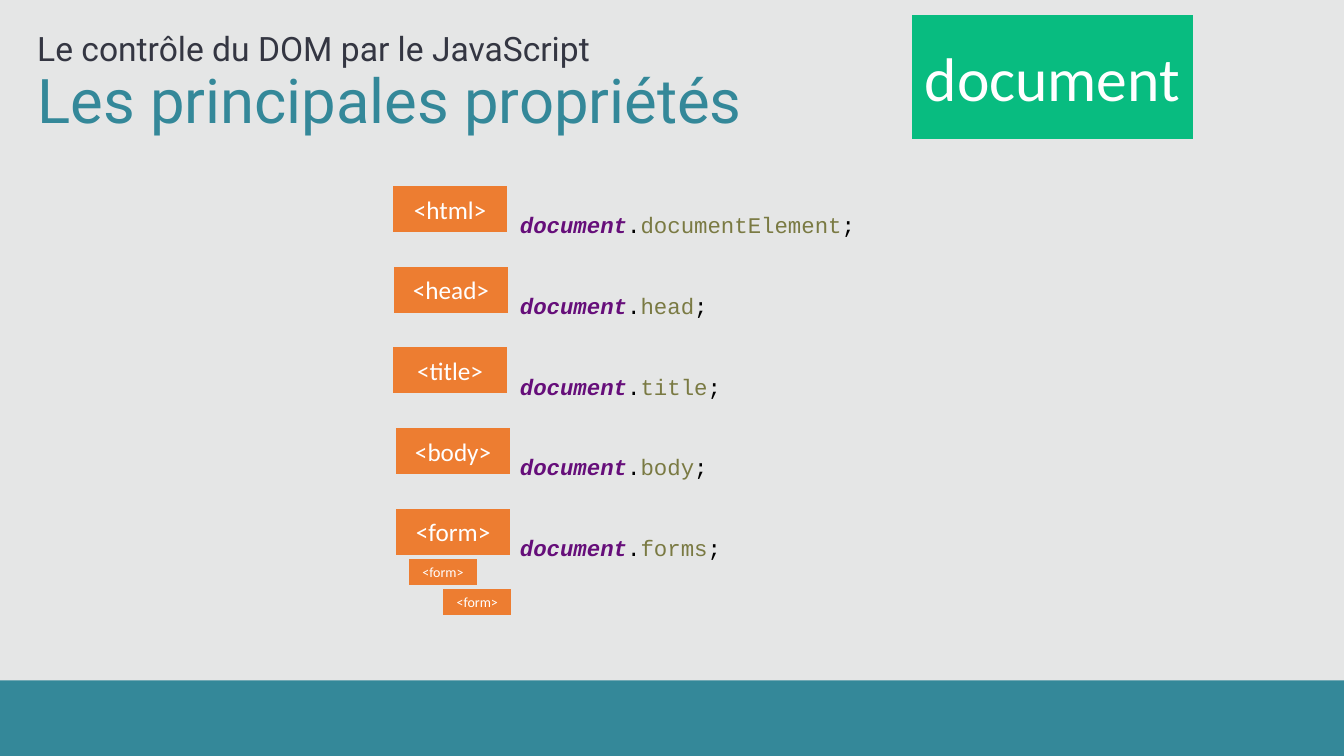
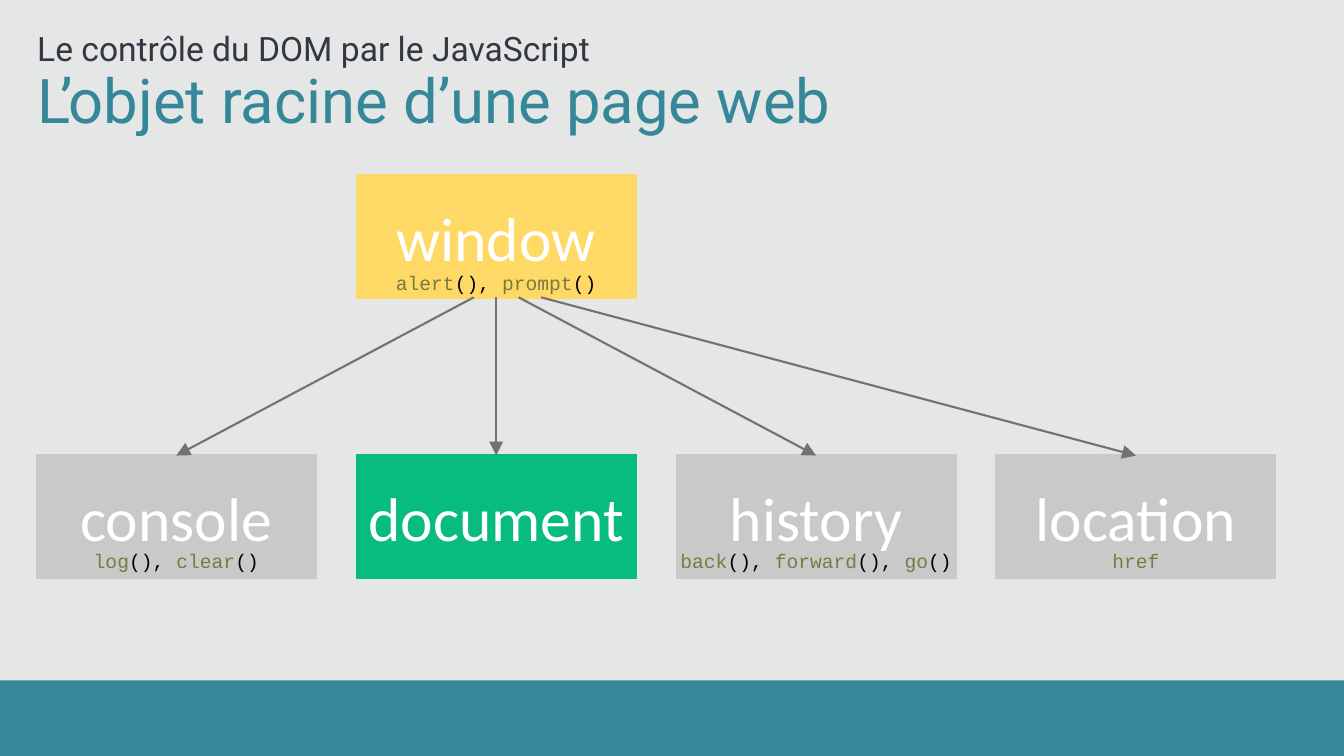
from dataclasses import dataclass

from lxml.etree import SubElement
from pptx import Presentation
from pptx.dml.color import RGBColor
from pptx.enum.shapes import MSO_CONNECTOR, MSO_SHAPE
from pptx.enum.text import MSO_ANCHOR, PP_ALIGN
from pptx.oxml.ns import qn
from pptx.slide import Slide
from pptx.text.text import TextFrame, _Paragraph
from pptx.util import Pt

COLORS = {
    "background": "E5E6E6",
    "teal": "348899",
    "ink": "343642",
    "green": "08BC80",
    "yellow": "FFD966",
    "grey": "C9C9C9",
    "orange": "ED7D31",
    "arrow": "767171",
    "white": "FFFFFF",
    "object": "660E7A",
    "member": "7A7A43",
    "punctuation": "000000",
}
SUBTITLE = "Le contrôle du DOM par le JavaScript"
SLIDE_W, SLIDE_H = 960, 540
FOOTER_TOP = 486
MARGIN = 26.6
BOX_W, BOX_H = 198.7, 87.1
COLUMN_STEP = 228.5
WINDOW_COLUMN = 1
WINDOW_TOP, CHILD_TOP = 125.3, 325.4
ARROW_STEP = 16
CAPTION_H = 25.2
TAG_TOP, TAG_STEP = 133.9, 57.6
CODE_SIZE, CODE_LINE_H = 16, 19.2


@dataclass(frozen=True)
class Token:
    text: str
    kind: str


@dataclass(frozen=True)
class Box:
    text: str
    left: float
    top: float
    color: str
    width: float = BOX_W
    height: float = BOX_H
    size: float = 44


@dataclass(frozen=True)
class Node:
    name: str
    color: str
    column: int
    top: float = CHILD_TOP
    caption: tuple[Token, ...] = ()
    caption_drop: float = 0

    @property
    def left(self) -> float:
        return MARGIN + self.column * COLUMN_STEP

    @property
    def center(self) -> float:
        return self.left + BOX_W / 2


@dataclass(frozen=True)
class Property:
    tag: str
    tag_left: float
    name: str


def member(name: str) -> Token:
    return Token(name, "member")


def mark(text: str) -> Token:
    return Token(text, "punctuation")


PROPERTIES = (
    Property("<html>", 281.5, "documentElement"),
    Property("<head>", 282.2, "head"),
    Property("<title>", 281.5, "title"),
    Property("<body>", 283.7, "body"),
    Property("<form>", 283.7, "forms"),
)
SMALL_TAGS = ((293, 400.3), (317.5, 421.5))
WINDOW = Node(
    "window", "yellow", WINDOW_COLUMN, WINDOW_TOP,
    (member("alert"), mark("(),"), member(" prompt"), mark("()")), 1.4,
)
CHILDREN = (
    Node("console", "grey", 0,
         caption=(member("log"), mark("(), "), member("clear"), mark("()"))),
    Node("document", "green", 1),
    Node("history", "grey", 2,
         caption=(member("back"), mark("(), "), member("forward"),
                  mark("(), "), member("go"), mark("()"))),
    Node("location", "grey", 3, caption=(member("href"),)),
)


def rgb(name: str) -> RGBColor:
    return RGBColor.from_string(COLORS[name])


def add_text_frame(s: Slide, left: float, top: float, width: float,
                   height: float, anchor: MSO_ANCHOR,
                   wrap: bool = True) -> TextFrame:
    sp = s.shapes.add_textbox(Pt(left), Pt(top), Pt(width), Pt(height))
    tf = sp.text_frame
    tf.word_wrap = wrap
    tf.vertical_anchor = anchor
    return tf


def add_heading(s: Slide, text: str, top: float, height: float, size: float,
                color: str, anchor: MSO_ANCHOR) -> None:
    tf = add_text_frame(s, MARGIN, top, 910, height, anchor)
    tf.margin_left = tf.margin_right = tf.margin_top = tf.margin_bottom = 0
    tf.text = text
    p = tf.paragraphs[0]
    p.line_spacing = 0.9
    font = p.runs[0].font
    font.name, font.size = "Roboto", Pt(size)
    font.color.rgb = rgb(color)


def add_box(s: Slide, box: Box) -> None:
    sp = s.shapes.add_shape(MSO_SHAPE.RECTANGLE, Pt(box.left), Pt(box.top),
                            Pt(box.width), Pt(box.height))
    sp.shadow.inherit = False
    sp.fill.solid()
    sp.fill.fore_color.rgb = rgb(box.color)
    sp.line.color.rgb = rgb(box.color)
    sp.line.width = Pt(2)
    SubElement(sp.line._get_or_add_ln(), qn("a:miter"), lim="800000")
    tf = sp.text_frame
    tf.word_wrap = False
    tf.vertical_anchor = MSO_ANCHOR.MIDDLE
    tf.text = box.text
    p = tf.paragraphs[0]
    p.alignment = PP_ALIGN.CENTER
    font = p.runs[0].font
    font.name, font.size = "Calibri", Pt(box.size)
    font.color.rgb = rgb("white")


def add_tokens(p: _Paragraph, tokens: tuple[Token, ...], size: float) -> None:
    for token in tokens:
        r = p.add_run()
        r.text = token.text
        r.font.name, r.font.size = "Courier New", Pt(size)
        r.font.color.rgb = rgb(token.kind)
        r.font.bold = r.font.italic = token.kind == "object"


def add_arrow(s: Slide, x1: float, y1: float, x2: float, y2: float) -> None:
    line = s.shapes.add_connector(MSO_CONNECTOR.STRAIGHT,
                                  Pt(x1), Pt(y1), Pt(x2), Pt(y2))
    line.line.color.rgb = rgb("arrow")
    line.line.width = Pt(1.5)
    SubElement(line.line._get_or_add_ln(), qn("a:tailEnd"),
               type="triangle", w="lg", len="lg")
    SubElement(line._element.spPr, qn("a:effectLst"))


def add_caption(s: Slide, node: Node) -> None:
    top = node.top + BOX_H - CAPTION_H + node.caption_drop
    tf = add_text_frame(s, node.left, top, BOX_W, CAPTION_H,
                        MSO_ANCHOR.BOTTOM, wrap=False)
    tf.margin_left = tf.margin_right = 0
    p = tf.paragraphs[0]
    p.alignment = PP_ALIGN.CENTER
    add_tokens(p, node.caption, 14)


def add_base_slide(prs: Presentation, title: str) -> Slide:
    s = prs.slides.add_slide(prs.slide_layouts[6])
    s.background.fill.solid()
    s.background.fill.fore_color.rgb = rgb("background")
    footer = s.shapes.add_shape(MSO_SHAPE.RECTANGLE, 0, Pt(FOOTER_TOP),
                                Pt(SLIDE_W), Pt(SLIDE_H - FOOTER_TOP))
    footer.shadow.inherit = False
    footer.fill.solid()
    footer.fill.fore_color.rgb = rgb("teal")
    footer.line.fill.background()
    add_heading(s, title, 50.4, 95, 44, "teal", MSO_ANCHOR.TOP)
    add_heading(s, SUBTITLE, 15.1, 33.8, 24, "ink", MSO_ANCHOR.BOTTOM)
    return s


def add_properties_slide(prs: Presentation) -> None:
    s = add_base_slide(prs, "Les principales propriétés")
    tf = add_text_frame(s, 364.3, 146.2, 276.5, 259.2, MSO_ANCHOR.MIDDLE)
    for i, prop in enumerate(PROPERTIES):
        p = tf.add_paragraph() if i else tf.paragraphs[0]
        if i:
            p.space_before = Pt(TAG_STEP - CODE_LINE_H)
        add_tokens(p, (Token("document", "object"), mark("."),
                       member(prop.name), mark(";")), CODE_SIZE)
        add_box(s, Box(prop.tag, prop.tag_left, TAG_TOP + i * TAG_STEP,
                       "orange", 80, 31, 18))
    for left, top in SMALL_TAGS:
        add_box(s, Box("<form>", left, top, "orange", 46.8, 16.6, 10))
    add_box(s, Box("document", 652.5, 11.5, "green"))


def add_window_slide(prs: Presentation) -> None:
    s = add_base_slide(prs, "L’objet racine d’une page web")
    nodes = (WINDOW, *CHILDREN)
    for node in nodes:
        add_box(s, Box(node.name, node.left, node.top, node.color))
    for child in CHILDREN:
        start = WINDOW.center + (child.column - WINDOW_COLUMN) * ARROW_STEP
        add_arrow(s, start, WINDOW_TOP + BOX_H, child.center, CHILD_TOP)
    for node in nodes:
        if node.caption:
            add_caption(s, node)


def main() -> None:
    prs = Presentation()
    prs.slide_width, prs.slide_height = Pt(SLIDE_W), Pt(SLIDE_H)
    add_properties_slide(prs)
    add_window_slide(prs)
    prs.save("out.pptx")


if __name__ == "__main__":
    main()
